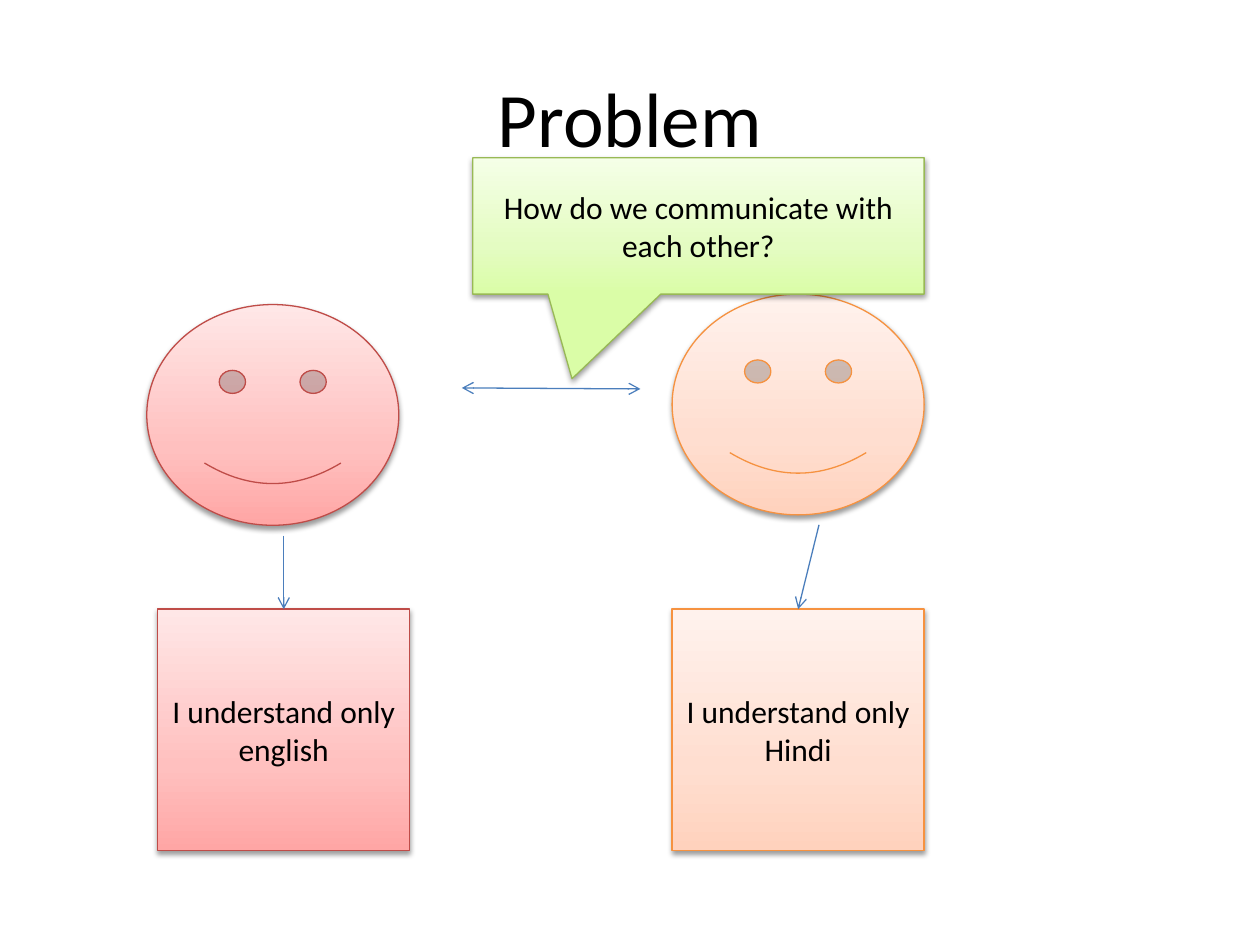
"""Build the Problem slide: two speakers who do not share a language."""
from copy import deepcopy

from lxml import etree
from pptx import Presentation
from pptx.dml.color import RGBColor
from pptx.enum.shapes import MSO_CONNECTOR, MSO_SHAPE
from pptx.enum.text import MSO_ANCHOR, PP_ALIGN
from pptx.oxml.ns import qn
from pptx.util import Cm, Pt

SMILEY = MSO_SHAPE.SMILEY_FACE
RECTANGLE = MSO_SHAPE.RECTANGLE
CALLOUT = MSO_SHAPE.RECTANGULAR_CALLOUT
STRAIGHT = MSO_CONNECTOR.STRAIGHT
CENTER = PP_ALIGN.CENTER
MIDDLE = MSO_ANCHOR.MIDDLE

THEME = {
    "title": {"name": "Calibri", "size": Pt(44)},
    "body": {"name": "Calibri", "size": Pt(18)},
    "text": "000000",
    "shadow": "000000",
    "arrow": "4B7EBC",
    "line_width": Pt(0.75),
    "stops": (0, 0.35, 1),
    "red": {"line": "BF4C48", "gradient": ("FFA6A5", "FFC0BF", "FFE7E7")},
    "orange": {"line": "F69240", "gradient": ("FFD2BD", "FFDED0", "FFF2ED")},
    "green": {"line": "98B955", "gradient": ("DAFDA7", "E4FCC2", "F5FFE7")},
}


def write_text(shape, text, style):
    frame = shape.text_frame
    frame.text = text
    frame.word_wrap = True
    frame.vertical_anchor = MIDDLE
    paragraph = frame.paragraphs[0]
    paragraph.alignment = CENTER
    font = paragraph.runs[0].font
    for attribute, value in THEME[style].items():
        setattr(font, attribute, value)
    font.color.rgb = RGBColor.from_string(THEME["text"])


def add_panel(slide, kind, box, palette, text=None):
    shape = slide.shapes.add_shape(kind, *[Cm(length) for length in box])
    shape.fill.gradient()
    shape.fill.gradient_angle = 90
    properties = shape._element.spPr
    stop_list = properties.find(".//" + qn("a:gsLst"))
    stop_list.append(deepcopy(stop_list[0]))
    colors = THEME[palette]["gradient"]
    for stop, position, color in zip(shape.fill.gradient_stops, THEME["stops"], colors):
        stop.position = position
        stop.color.rgb = RGBColor.from_string(color)
    shape.line.color.rgb = RGBColor.from_string(THEME[palette]["line"])
    shape.line.width = THEME["line_width"]
    shape.shadow.inherit = False
    shadow = etree.SubElement(
        properties.find(qn("a:effectLst")), qn("a:outerShdw"),
        blurRad=str(Pt(3.1)), dist=str(Pt(1.6)), dir="5400000", rotWithShape="0")
    shadow_color = etree.SubElement(shadow, qn("a:srgbClr"), val=THEME["shadow"])
    etree.SubElement(shadow_color, qn("a:alpha"), val="38000")
    if text:
        write_text(shape, text, "body")
    return shape


presentation = Presentation()
presentation.slide_width = Cm(25.4)
presentation.slide_height = Cm(19.05)
slide = presentation.slides.add_slide(presentation.slide_layouts[5])

title = slide.shapes.title
title_box = {"left": 1.27, "top": 0.76, "width": 22.86, "height": 3.18}
for attribute, value in title_box.items():
    setattr(title, attribute, Cm(value))
write_text(title, "Problem", "title")

speakers = (
    ("red", 2.96, 6.14, 3.18, "I understand only english"),
    ("orange", 13.55, 5.93, 13.55, "I understand only Hindi"),
)
for palette, face_left, face_top, box_left, text in speakers:
    add_panel(slide, SMILEY, (face_left, face_top, 5.08, 4.45), palette)
    add_panel(slide, RECTANGLE, (box_left, 12.28, 5.08, 4.87), palette, text)

arrows = (
    ((5.72, 10.8, 5.72, 12.28), ("tailEnd",)),
    ((16.51, 10.58, 16.09, 12.28), ("tailEnd",)),
    ((9.31, 7.82, 12.91, 7.84), ("headEnd", "tailEnd")),
)
for points, ends in arrows:
    connector = slide.shapes.add_connector(STRAIGHT, *[Cm(point) for point in points])
    connector.line.color.rgb = RGBColor.from_string(THEME["arrow"])
    connector.line.width = THEME["line_width"]
    properties = connector._element.spPr
    for end in ends:
        etree.SubElement(properties.find(qn("a:ln")), qn("a:" + end), type="arrow")
    etree.SubElement(properties, qn("a:effectLst"))

question = add_panel(slide, CALLOUT, (9.53, 3.18, 9.1, 2.75), "green",
                     "How do we communicate with each other?")
question.adjustments[0] = -0.28
question.adjustments[1] = 1.12

presentation.save("out.pptx")
